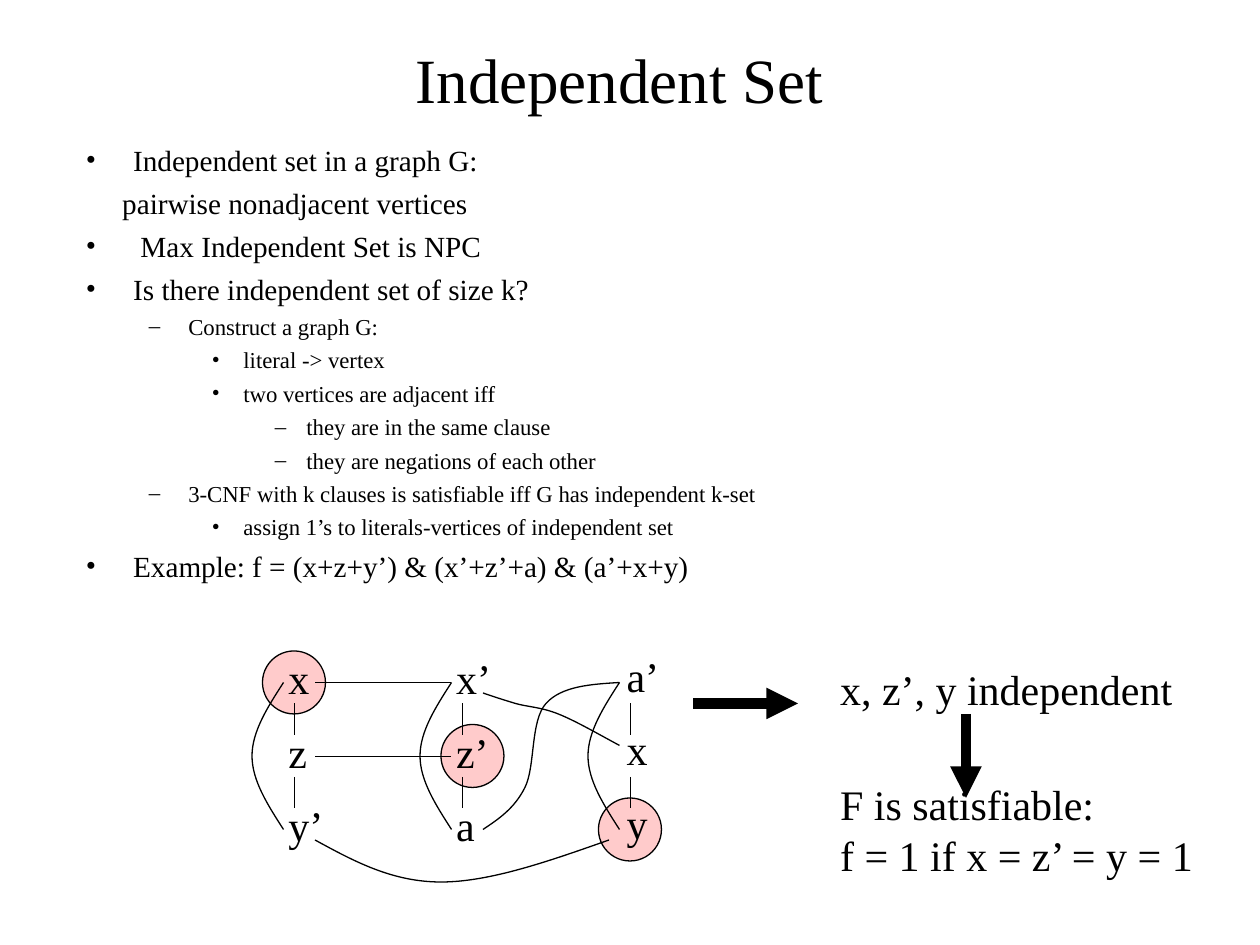
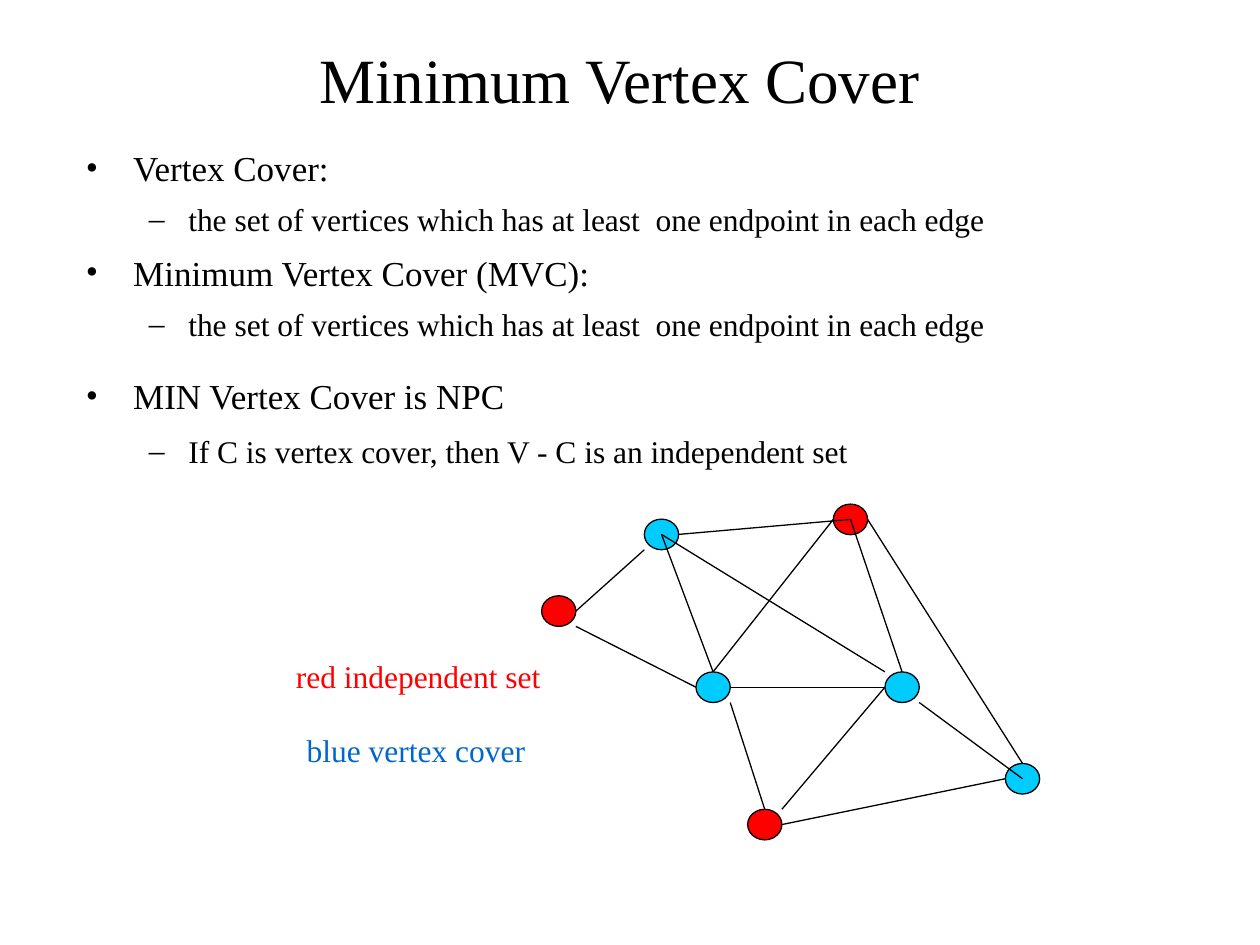
import pptx
import pptx.dml.color
import pptx.enum.shapes
import pptx.enum.text
import pptx.oxml.ns
import pptx.util
from lxml import etree

Pt = pptx.util.Pt
FONT = "Times New Roman"
BLACK, RED, PINK = "000000", "FF0000", "FF9999"
SKY, BLUE = "00CCFF", "0066CC"
INDENTS = [(27, 27), (58.5, 22.5), (90, 18), (126, 18)]
VERTEX_SIZE = (19.6, 17.5)


def rgb(value):
    """Turn a hex string into a colour."""
    return pptx.dml.color.RGBColor.from_string(value)


def child(parent, tag, **attributes):
    """Append a drawing element to a parent element."""
    return etree.SubElement(parent, pptx.oxml.ns.qn(tag), attributes)


def style_line(shape, width=0.75):
    """Give a shape a plain black line."""
    shape.line.color.rgb = rgb(BLACK)
    shape.line.width = Pt(width)


def add_span(para, text, size=24, color=BLACK):
    """Add formatted text to a paragraph."""
    span = para.add_run()
    span.text = text
    span.font.name = FONT
    span.font.size = Pt(size)
    span.font.color.rgb = rgb(color)


def add_text(page, left, top, width, height, text, align="LEFT", anchor="TOP", **format):
    """Add a text box with one paragraph per line of text."""
    box = page.shapes.add_textbox(Pt(left), Pt(top), Pt(width), Pt(height))
    frame = box.text_frame
    frame.word_wrap = True
    frame.vertical_anchor = getattr(pptx.enum.text.MSO_ANCHOR, anchor)
    for index, line in enumerate(text.split("\n")):
        para = frame.add_paragraph() if index else frame.paragraphs[0]
        para.alignment = getattr(pptx.enum.text.PP_ALIGN, align)
        add_span(para, line, **format)


def add_bullets(page, height, items, line_spacing=1.0):
    """Add an outline from (level, text, size, space before) items."""
    box = page.shapes.add_textbox(Pt(42), Pt(77.7), Pt(636), Pt(height))
    frame = box.text_frame
    frame.word_wrap = True
    for index, (level, text, size, space) in enumerate(items):
        para = frame.add_paragraph() if index else frame.paragraphs[0]
        properties = para._p.get_or_add_pPr()
        if level is None:
            properties.set("marL", str(Pt(20.75)))
        else:
            margin, hanging = INDENTS[level]
            properties.set("marL", str(Pt(margin)))
            properties.set("indent", str(-Pt(hanging)))
            child(child(properties, "a:buClr"), "a:srgbClr", val=BLACK)
            child(properties, "a:buFont", typeface=FONT)
            child(properties, "a:buChar", char="–" if level % 2 else "•")
            para.level = level
        para.line_spacing = line_spacing
        if index:
            para.space_before = Pt(space)
        add_span(para, text, size)


def add_circle(page, center, size, color, opacity=100):
    """Add an outlined ellipse around a centre."""
    (x, y), (width, height) = center, size
    shape = page.shapes.add_shape(
        pptx.enum.shapes.MSO_SHAPE.OVAL,
        Pt(x - width / 2), Pt(y - height / 2), Pt(width), Pt(height))
    shape.shadow.inherit = False
    shape.fill.solid()
    shape.fill.fore_color.rgb = rgb(color)
    if opacity < 100:
        code = shape._element.spPr.find(".//" + pptx.oxml.ns.qn("a:srgbClr"))
        child(code, "a:alpha", val=str(opacity * 1000))
    style_line(shape)


def add_line(page, start, end, width=0.75, arrow=False):
    """Add a straight line, with an arrowhead if wanted."""
    line = page.shapes.add_connector(
        pptx.enum.shapes.MSO_CONNECTOR.STRAIGHT, *map(Pt, start + end))
    style_line(line, width)
    if arrow:
        child(line.line._get_or_add_ln(), "a:tailEnd", type="triangle")
    child(line._element.spPr, "a:effectLst")


def add_curve(page, points):
    """Add an open curve through chained cubic segments."""
    start, *others = [tuple(map(Pt, point)) for point in points]
    builder = page.shapes.build_freeform(*start)
    builder.add_line_segments(others, close=False)
    shape = builder.convert_to_shape()
    outline = shape._element.spPr.find(".//" + pptx.oxml.ns.qn("a:path"))
    legs = outline.findall(pptx.oxml.ns.qn("a:lnTo"))
    for first in range(0, len(legs), 3):
        cubic = child(outline, "a:cubicBezTo")
        for leg in legs[first:first + 3]:
            cubic.append(leg[0])
            outline.remove(leg)
    shape.shadow.inherit = False
    shape.fill.background()
    style_line(shape)


def add_page(deck, title):
    """Add a blank page with a centred title."""
    page = deck.slides.add_slide(deck.slide_layouts[6])
    add_text(page, 48, 24, 612, 42, title, align="CENTER", anchor="MIDDLE", size=36)
    return page


def add_clause(page, center, left, top, literals):
    """Add a column of three mutually adjacent literals."""
    for row, literal in enumerate(literals):
        add_text(page, left, top + 42.1 * row, 36, 36, literal)
    axis = center + 0.2
    for top_end in (402, 444):
        add_line(page, (axis, top_end), (axis, top_end + 18))
    bow = [(6, 390), (15, 404), (24, 418), (24, 432), (24, 446), (15, 460), (6, 474)]
    add_curve(page, [(center - offset, y) for offset, y in bow])


def independent_set(deck):
    """Build the independent set page."""
    page = add_page(deck, "Independent Set")
    for center in ((360, 474), (270, 432), (168, 390)):
        add_circle(page, center, (36, 36), PINK, opacity=50)
    outline = [
        (0, "Independent set in a graph G:"),
        (None, "pairwise nonadjacent vertices"),
        (0, " Max Independent Set is NPC"),
        (0, "Is there independent set of size k?"),
        (1, "Construct a graph G:"),
        (2, "literal -> vertex"),
        (2, "two vertices are adjacent iff"),
        (3, "they are in the same clause"),
        (3, "they are negations of each other"),
        (1, "3-CNF with k clauses is satisfiable iff G has independent k-set"),
        (2, "assign 1’s to literals-vertices of independent set"),
        (0, "Example: f = (x+z+y’) & (x’+z’+a) & (a’+x+y)"),
    ]
    add_bullets(page, 258, [
        (level, text, 13, 3.5) if level else (level, text, 16.7, 4.6)
        for level, text in outline])

    add_clause(page, 168, 157.7, 369.4, ("x", "z", "y’"))
    add_clause(page, 264, 253.6, 369.4, ("x’", "z’", "a"))
    add_clause(page, 360, 351, 368, ("a’", "x", "y"))
    for y in (390, 432.2):
        add_line(page, (180, y), (258, y))
    add_curve(page, [(276, 396), (281.5, 398), (288, 400), (294.5, 402), (301.5, 404),
                     (309, 404), (319, 408), (329, 412), (341, 419), (354, 426)])
    add_curve(page, [(276, 474), (285, 468), (294, 462), (300, 450), (306, 438),
                     (303, 412), (312, 402), (321, 392), (338, 391), (354, 390)])
    add_curve(page, [(180, 480), (202, 492), (224, 504), (252, 504),
                     (280, 504), (314, 492), (348, 480)])

    add_line(page, (396, 402), (456, 402), width=6, arrow=True)
    add_text(page, 473, 375.4, 210, 36, "x, z’, y independent")
    add_line(page, (552, 408), (552, 456), width=6, arrow=True)
    add_text(page, 473, 441.4, 224, 65, "F is satisfiable:\nf = 1 if x = z’ = y = 1")


def vertex_cover(deck):
    """Build the vertex cover page."""
    page = add_page(deck, "Minimum Vertex Cover")
    definition = "the set of vertices which has at least  one endpoint in each edge"
    add_bullets(page, 198, [
        (0, "Vertex Cover:", 20, 0),
        (1, definition, 18, 4.7),
        (0, "Minimum Vertex Cover (MVC):", 20, 5),
        (1, definition, 18, 4.7),
        (0, "MIN Vertex Cover is NPC", 20, 15.8),
        (1, "If C is vertex cover, then V - C is an independent set", 18, 6.4),
    ], line_spacing=1.1)

    independent = {"left": (319.3, 349.2), "top": (486, 296.8), "bottom": (437, 471.2)}
    cover = {"upper": (378, 305.4), "right": (584.3, 445),
             "middle": (407.5, 392.7), "inner": (515.5, 392.7)}
    for color, group in ((RED, independent), (SKY, cover)):
        for center in group.values():
            add_circle(page, center, VERTEX_SIZE, color)

    vertices = independent | cover
    edges = [
        ("upper", 0, 0, "inner", -1, -1),
        ("left", 1, 0, "upper", -1, 1),
        ("left", 1, 1, "middle", -1, 0),
        ("bottom", 1, -1, "inner", -1, 0),
        ("upper", 1, 0, "top", 0, 0),
        ("middle", 0, -1, "upper", 0, 0),
        ("middle", 1, 1, "bottom", 0, -1),
        ("inner", 0, -1, "top", 0, 0),
        ("top", -1, 0, "middle", 0, -1),
        ("inner", 1, 1, "right", 0, 0),
        ("bottom", 1, 0, "right", -1, 0),
        ("top", 1, 0, "right", 0, -1),
        ("middle", 1, 0, "inner", -1, 0),
    ]

    def anchor(name, across, down):
        """Return a point on the frame of a vertex."""
        x, y = vertices[name]
        return x + across * VERTEX_SIZE[0] / 2, y + down * VERTEX_SIZE[1] / 2

    for edge in edges:
        add_line(page, anchor(*edge[:3]), anchor(*edge[3:]))
    add_text(page, 162, 372, 160, 29, "red independent set", size=18, color=RED)
    add_text(page, 168.2, 414, 150, 29, "blue vertex cover", size=18, color=BLUE)


def main():
    """Build and save the deck."""
    deck = pptx.Presentation()
    deck.slide_width, deck.slide_height = Pt(720), Pt(540)
    independent_set(deck)
    vertex_cover(deck)
    deck.save("out.pptx")


if __name__ == "__main__":
    main()
